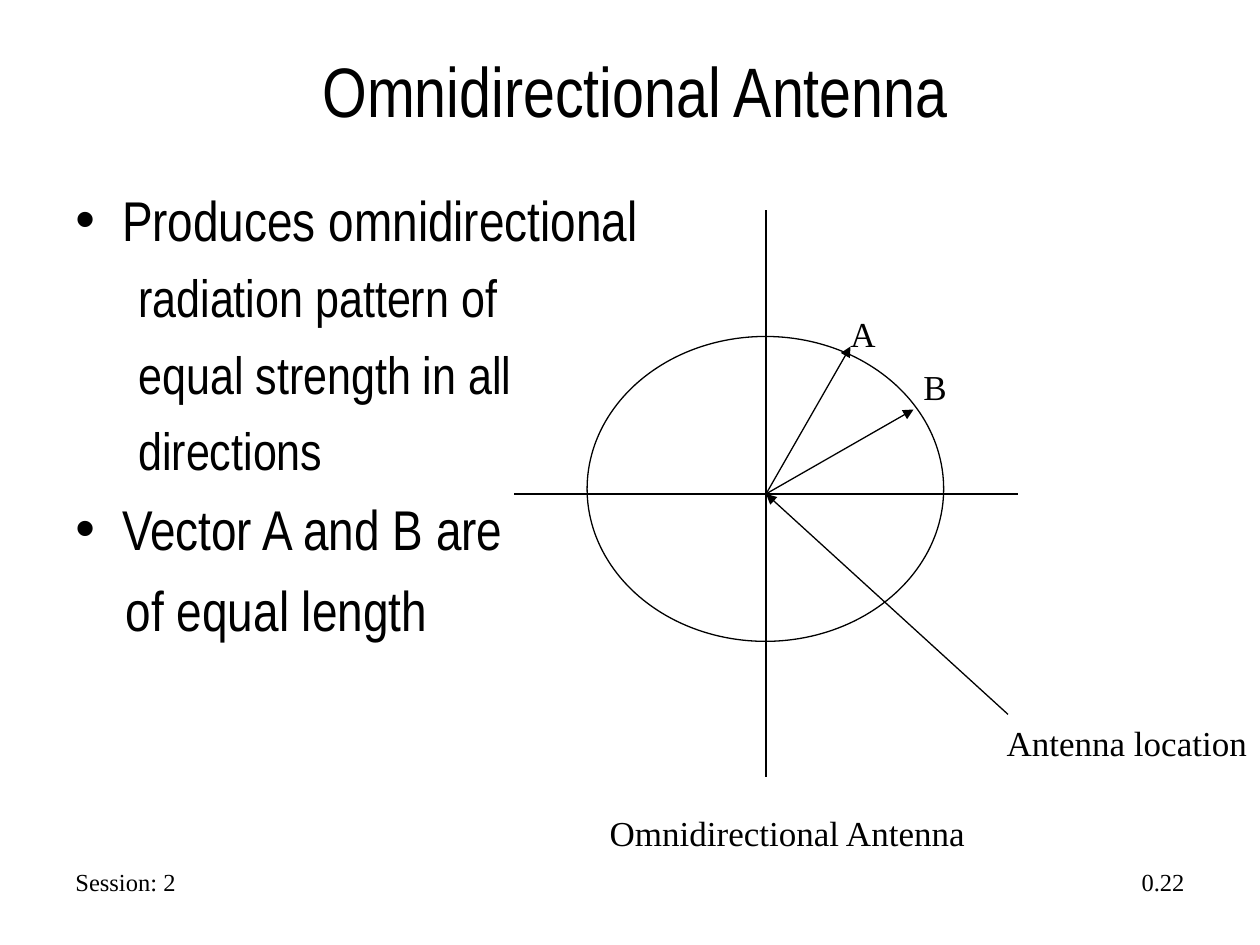
from pptx import Presentation
from pptx.dml.color import RGBColor
from pptx.enum.shapes import MSO_CONNECTOR as Connector, MSO_SHAPE as Shape
from pptx.enum.text import MSO_ANCHOR as Anchor, PP_ALIGN as Align
from pptx.oxml.ns import qn
from pptx.util import Inches, Pt
from lxml.etree import SubElement

COLORS = {"ink": "000000"}
SANS, SERIF = "Arial Narrow", "Times New Roman"


class SlideBuilder:
    """Holds the style and the current slide, and draws its elements."""

    def __init__(self, slide):
        self.slide = slide
        self.ink = RGBColor.from_string(COLORS["ink"])
        self.line_width = Pt(0.75)

    def style_font(self, paragraph, font_name, size):
        for run in paragraph.runs:
            run.font.name = font_name
            run.font.size = Pt(size)
            run.font.color.rgb = self.ink

    def text_frame(self, left, top, width, height, wrap=True):
        box = self.slide.shapes.add_textbox(
            Inches(left), Inches(top), Inches(width), Inches(height))
        box.text_frame.word_wrap = wrap
        return box.text_frame

    def text(self, text, place, size=20, font_name=SERIF, align=Align.LEFT,
             anchor=Anchor.TOP, wrap=False):
        text_frame = self.text_frame(*place, wrap=wrap)
        text_frame.text = text
        text_frame.vertical_anchor = anchor
        paragraph = text_frame.paragraphs[0]
        paragraph.alignment = align
        self.style_font(paragraph, font_name, size)

    def outline(self, items, place):
        text_frame = self.text_frame(*place)
        for index, (text, level, size, margin, bullet) in enumerate(items):
            paragraph = text_frame.paragraphs[0] if index == 0 else text_frame.add_paragraph()
            paragraph.text = text
            paragraph.level = level
            properties = paragraph._p.get_or_add_pPr()
            properties.set("marL", str(Inches(margin)))
            properties.set("indent", str(-Inches(margin) if bullet else 0))
            if index:
                paragraph.space_before = Pt(size / 4)
            if bullet:
                SubElement(properties, qn("a:buFont"), typeface="Arial")
                SubElement(properties, qn("a:buChar"), char="•")
            else:
                SubElement(properties, qn("a:buNone"))
            self.style_font(paragraph, SANS, size)

    def ellipse(self, left, top, width, height):
        shape = self.slide.shapes.add_shape(
            Shape.OVAL, Inches(left), Inches(top), Inches(width), Inches(height))
        shape.shadow.inherit = False
        shape.fill.background()
        shape.line.color.rgb = self.ink
        shape.line.width = self.line_width

    def line(self, start, end, arrow=False):
        connector = self.slide.shapes.add_connector(
            Connector.STRAIGHT, *map(Inches, start + end))
        connector.line.color.rgb = self.ink
        connector.line.width = self.line_width
        if arrow:
            SubElement(connector.line._get_or_add_ln(), qn("a:tailEnd"), type="triangle")
        SubElement(connector._element.spPr, qn("a:effectLst"))


def main():
    presentation = Presentation()
    presentation.slide_width, presentation.slide_height = Inches(10), Inches(7.5)
    builder = SlideBuilder(presentation.slides.add_slide(presentation.slide_layouts[6]))

    builder.text("Session: 2", (0.5, 6.83, 2.58, 0.34), size=14, wrap=True)
    builder.text("0.22", (7.17, 6.83, 2.33, 0.34), size=14, align=Align.RIGHT, wrap=True)
    builder.text("Omnidirectional Antenna", (0.5, 0.25, 9.08, 0.92), size=40,
                 font_name=SANS, align=Align.CENTER, anchor=Anchor.MIDDLE, wrap=True)
    builder.outline([
        ("Produces omnidirectional", 0, 32, 0.37, True),
        ("radiation pattern of", 1, 30, 0.5, False),
        ("equal strength in all", 1, 30, 0.5, False),
        ("directions", 1, 30, 0.5, False),
        ("Vector A and B are", 0, 32, 0.37, True),
        ("of equal length", 0, 32, 0.4, False),
    ], (0.5, 1.42, 9.08, 5.28))

    antenna = (6.08, 3.92)
    builder.ellipse(4.66, 2.67, 2.83, 2.42)
    builder.line((6.08, 1.67), (6.08, 6.17))
    builder.line((4.08, 3.92), (8.08, 3.92))
    for vector_tip in [(7.25, 3.25), (6.75, 2.75)]:
        builder.line(antenna, vector_tip, arrow=True)
    builder.line((8, 5.67), antenna, arrow=True)

    for label, place in [
        ("Omnidirectional Antenna", (4.74, 6.39, 3.03, 0.44)),
        ("Antenna location", (7.89, 5.68, 2.11, 0.44)),
        ("A", (6.65, 2.43, 0.4, 0.44)),
        ("B", (7.23, 2.85, 0.38, 0.44)),
    ]:
        builder.text(label, place)

    presentation.save("out.pptx")


if __name__ == "__main__":
    main()
